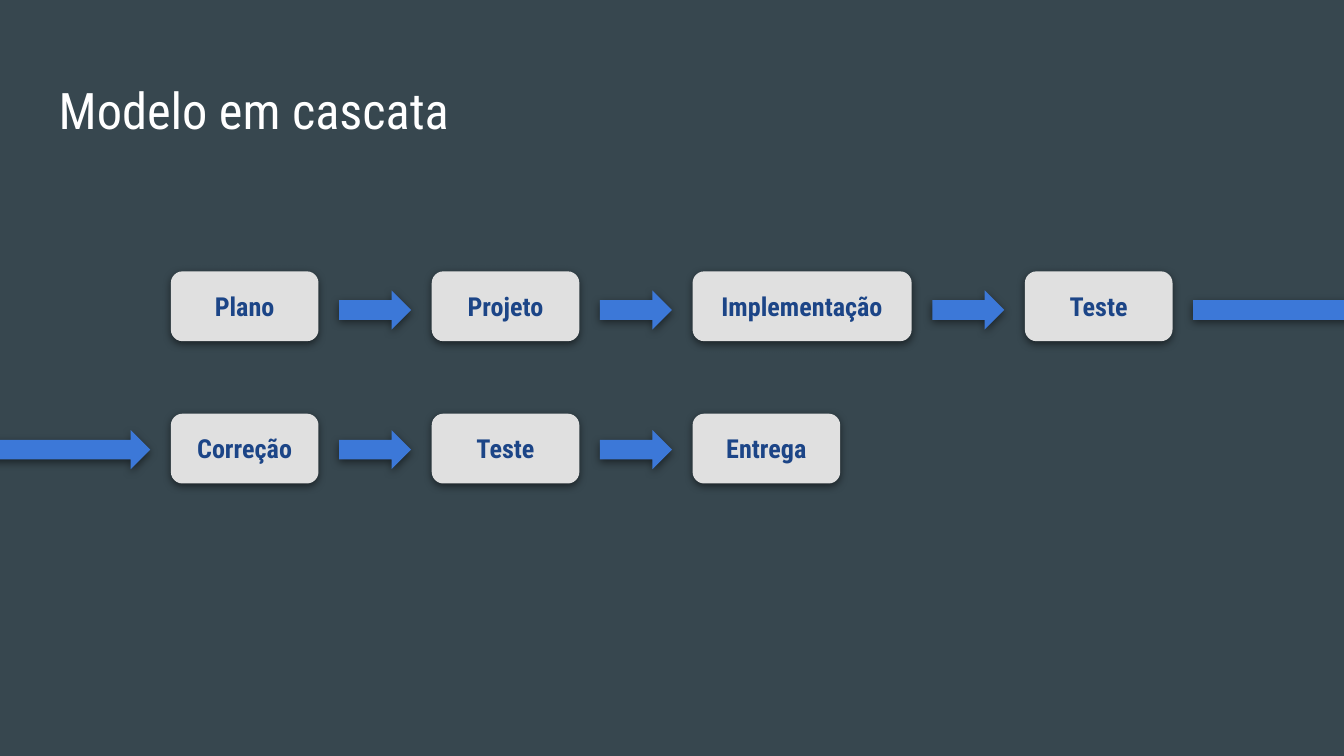
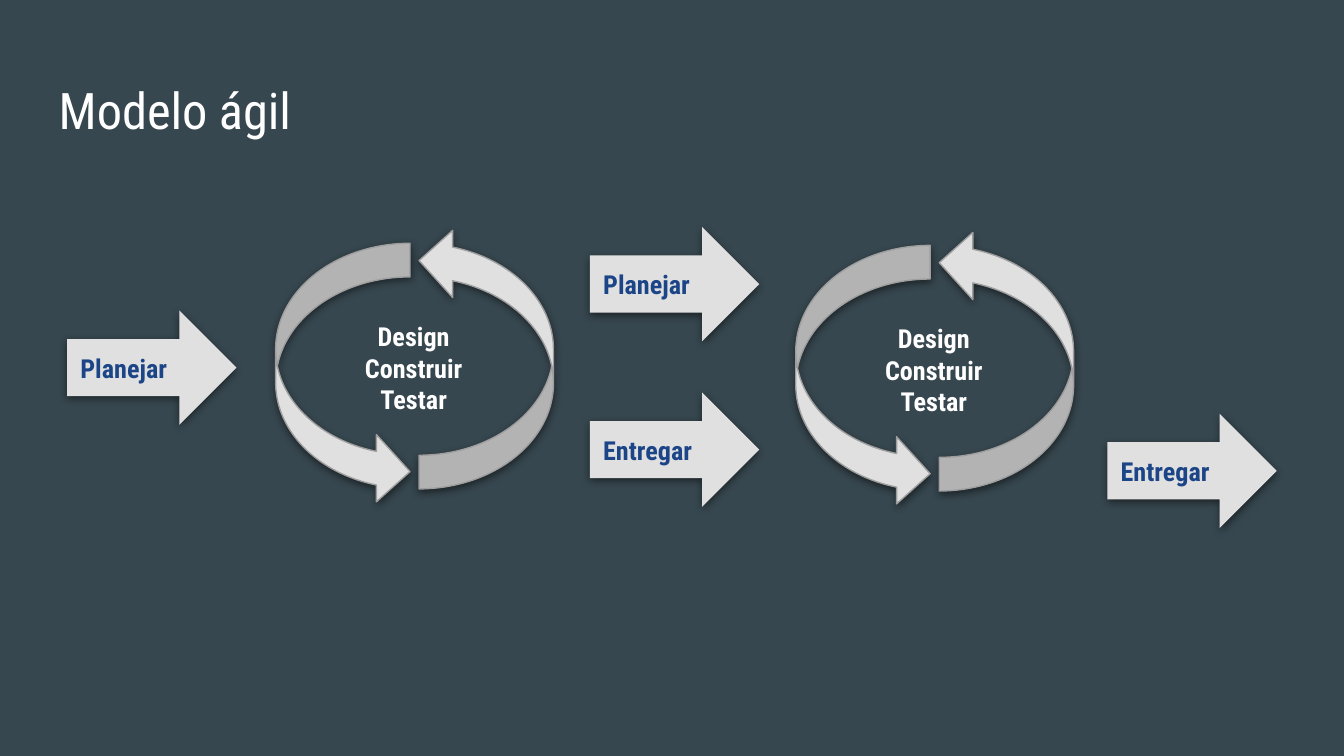
from pptx import Presentation
from pptx.dml.color import RGBColor
from pptx.enum.shapes import MSO_SHAPE
from pptx.enum.text import MSO_ANCHOR, PP_ALIGN
from pptx.oxml import parse_xml
from pptx.oxml.ns import nsdecls, qn
from pptx.util import Cm, Pt

STEP = MSO_SHAPE.FLOWCHART_ALTERNATE_PROCESS
ARROW = MSO_SHAPE.RIGHT_ARROW
CURVE = MSO_SHAPE.CURVED_RIGHT_ARROW
LEFT, CENTER = PP_ALIGN.LEFT, PP_ALIGN.CENTER
TOP, MIDDLE = MSO_ANCHOR.TOP, MSO_ANCHOR.MIDDLE

FONT = "Roboto Condensed"
SLATE, WHITE, PALE = "37474F", "FFFFFF", "E0E0E0"
NAVY, BLUE, GREY = "1C4587", "3C78D8", "9E9E9E"

SLIDE_W, SLIDE_H = 25.4, 14.29
INSET = 0.25
STEP_LEFT, STEP_W, WIDE_STEP_W, STEP_H = 3.23, 2.79, 4.14, 1.32
LINK_W, LINK_H, LINK_GAP = 1.36, 0.74, 0.39
BLEED = 0.53
BLOCK_W, BLOCK_H = 3.2, 2.16
CURVE_W, CURVE_H = 2.54, 4.95
SHADOW = (
    f'<a:outerShdw {nsdecls("a")} blurRad="57150" dist="19050" dir="5400000" '
    'algn="bl" rotWithShape="0"><a:srgbClr val="000000">'
    '<a:alpha val="50000"/></a:srgbClr></a:outerShdw>'
)


def rgb(value):
    """Turn a hex string into a colour."""
    return RGBColor.from_string(value)


def write(shape, lines, size, color, bold=False, align=LEFT, anchor=TOP):
    """Fill a shape with one paragraph per line."""
    tf = shape.text_frame
    tf.word_wrap = True
    tf.vertical_anchor = anchor
    tf.margin_left = tf.margin_right = tf.margin_top = tf.margin_bottom = Cm(INSET)
    for i, line in enumerate(lines):
        p = tf.add_paragraph() if i else tf.paragraphs[0]
        p.alignment = align
        r = p.add_run()
        r.text = line
        r.font.name = FONT
        r.font.size = Pt(size)
        r.font.bold = bold
        r.font.color.rgb = rgb(color)


def add_text(s, x, y, w, h, lines, size, **style):
    """Add a white text box."""
    box = s.shapes.add_textbox(Cm(x), Cm(y), Cm(w), Cm(h))
    write(box, lines, size, WHITE, **style)


def add_shape(s, kind, x, y, w, h, fill, line=None):
    """Add a filled shape with a soft shadow below it."""
    sp = s.shapes.add_shape(kind, Cm(x), Cm(y), Cm(w), Cm(h))
    sp.fill.solid()
    sp.fill.fore_color.rgb = rgb(fill)
    if line:
        sp.line.color.rgb = rgb(line)
        sp.line.width = Pt(0.75)
    else:
        sp.line.fill.background()
    sp.shadow.inherit = False
    effects = sp.element.spPr.find(qn("a:effectLst"))
    effects.append(parse_xml(SHADOW))
    return sp


def add_slide(prs, title):
    """Add a blank slide with its title."""
    s = prs.slides.add_slide(prs.slide_layouts[6])
    add_text(s, 0.86, 1.24, 23.67, 1.6, [title], 27)
    return s


def add_link(s, x, y, w=LINK_W):
    """Add a blue arrow between steps."""
    add_shape(s, ARROW, x, y, w, LINK_H, BLUE)


def add_steps(s, y, link_y, steps):
    """Lay out a row of steps joined by arrows and return where the next arrow starts."""
    x = STEP_LEFT
    for i, (label, w) in enumerate(steps):
        if i:
            add_link(s, x, link_y)
            x += LINK_W + LINK_GAP
        sp = add_shape(s, STEP, x, y, w, STEP_H, PALE)
        write(sp, [label], 14, NAVY, bold=True, align=CENTER, anchor=MIDDLE)
        x += w + LINK_GAP
    return x


def add_block_arrow(s, x, y, label):
    """Add a large labelled arrow."""
    sp = add_shape(s, ARROW, x, y, BLOCK_W, BLOCK_H, PALE)
    write(sp, [label], 14, NAVY, bold=True, anchor=MIDDLE)


def add_cycle(s, x, y):
    """Add two curved arrows turning around the iteration's activities."""
    add_shape(s, CURVE, x, y + 0.31, CURVE_W, CURVE_H, PALE, GREY)
    add_text(s, x + 0.91, y + 1.52, 3.4, 2.31, ["Design", "Construir", "Testar"],
             14, bold=True, align=CENTER)
    back = add_shape(s, CURVE, x + 2.71, y, CURVE_W, CURVE_H, PALE, GREY)
    back.rotation = 180


def waterfall_slide(prs):
    """Build the waterfall model, whose first row runs on into the second."""
    s = add_slide(prs, "Modelo em cascata")
    top_y, bottom_y = 5.49, 8.13
    end = add_steps(s, 5.13, top_y, [
        ("Plano", STEP_W), ("Projeto", STEP_W),
        ("Implementação", WIDE_STEP_W), ("Teste", STEP_W)])
    add_steps(s, 7.82, bottom_y, [
        ("Correção", STEP_W), ("Teste", STEP_W), ("Entrega", STEP_W)])
    add_link(s, -BLEED, bottom_y, STEP_LEFT - LINK_GAP + BLEED)
    add_link(s, end, top_y, SLIDE_W + BLEED - end)


def agile_slide(prs):
    """Build the agile model with its two iterations."""
    s = add_slide(prs, "Modelo ágil")
    for x, y in [(5.21, 4.29), (15.04, 4.33)]:
        add_cycle(s, x, y)
    for x, y, label in [(1.27, 5.87, "Planejar"), (11.15, 4.29, "Planejar"),
                        (11.15, 7.42, "Entregar"), (20.93, 7.82, "Entregar")]:
        add_block_arrow(s, x, y, label)


def main():
    """Build and save the presentation."""
    prs = Presentation()
    prs.slide_width, prs.slide_height = Cm(SLIDE_W), Cm(SLIDE_H)
    fill = prs.slide_master.background.fill
    fill.solid()
    fill.fore_color.rgb = rgb(SLATE)
    waterfall_slide(prs)
    agile_slide(prs)
    prs.save("out.pptx")


if __name__ == "__main__":
    main()
